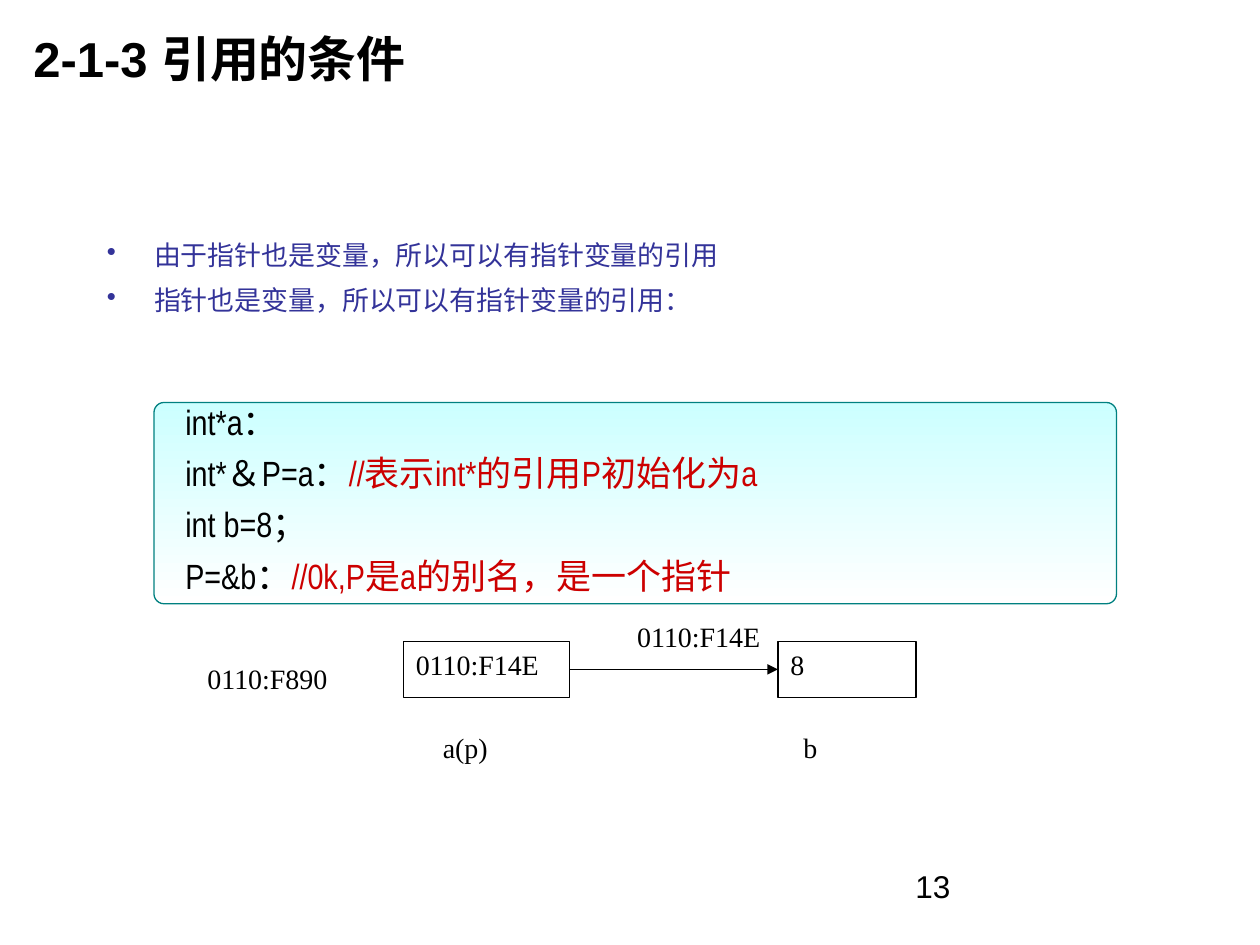
from pptx import Presentation
from pptx.dml.color import RGBColor
from pptx.enum.shapes import MSO_CONNECTOR as Connector, MSO_SHAPE as Shape
from pptx.enum.text import MSO_ANCHOR as Anchor, PP_ALIGN as Align
from pptx.oxml.ns import qn
from pptx.util import Pt
from lxml.etree import SubElement

BLACK, WHITE, BLUE, RED, TEAL, AQUA = (
    "000000", "FFFFFF", "333399", "CC0000", "008080", "CCFFFF")
TITLE = {"name": "Arial", "size": Pt(28), "bold": True}
BODY = {"name": "Arial", "size": Pt(15.4)}
CODE = {"name": "Arial Narrow", "size": Pt(20)}
LABEL = {"name": "Times New Roman", "size": Pt(16)}
NUMBER = {"name": "Arial", "size": Pt(18)}


def color(value):
    return RGBColor.from_string(value)


def add_span(para, text, style, ink=BLACK):
    span = para.add_run()
    span.text = text
    for key, value in style.items():
        setattr(span.font, key, value)
    span.font.color.rgb = color(ink)


def fill_frame(frame, lines, style, anchor=Anchor.TOP, **para_format):
    """Write lines, each a list of (text, ink) pairs, into a text frame."""
    frame.word_wrap = True
    frame.vertical_anchor = anchor
    space = para_format.pop("space_before", Pt(0))
    for index, spans in enumerate(lines):
        para = frame.add_paragraph() if index else frame.paragraphs[0]
        para.alignment = Align.LEFT
        para.space_before = space if index else Pt(0)
        for key, value in para_format.items():
            setattr(para, key, value)
        for text, ink in spans:
            add_span(para, text, style, ink)


def add_text(page, area, lines, style, **options):
    box = page.shapes.add_textbox(*map(Pt, area))
    fill_frame(box.text_frame, lines, style, **options)
    return box


def set_line(line, ink):
    line.color.rgb = color(ink)
    line.width = Pt(0.75)


def add_bullets(page, area, texts):
    lines = [[(text, BLUE)] for text in texts]
    box = add_text(page, area, lines, BODY, space_before=Pt(7))
    for para in box.text_frame.paragraphs:
        properties = para._p.get_or_add_pPr()
        properties.set("marL", str(Pt(27)))
        properties.set("indent", str(-Pt(27)))
        bullet_color = SubElement(properties, qn("a:buClr"))
        SubElement(bullet_color, qn("a:srgbClr"), val=BLUE)
        SubElement(properties, qn("a:buChar"), char="•")


def add_code(page, area, lines):
    panel = page.shapes.add_shape(Shape.ROUNDED_RECTANGLE, *map(Pt, area))
    panel.adjustments[0] = 0.05
    panel.shadow.inherit = False
    panel.fill.gradient()
    panel.fill.gradient_angle = 270
    for stop, (place, ink) in zip(panel.fill.gradient_stops,
                                  [(0, AQUA), (1, WHITE)]):
        stop.position = place
        stop.color.rgb = color(ink)
    set_line(panel.line, TEAL)
    fill_frame(panel.text_frame, lines, CODE,
               space_before=Pt(12.5), line_spacing=0.7)


def add_cell(group, area, text, framed):
    cell = group.shapes.add_shape(Shape.RECTANGLE, *map(Pt, area))
    cell.shadow.inherit = False
    cell.fill.solid()
    cell.fill.fore_color.rgb = color(WHITE)
    if framed:
        set_line(cell.line, BLACK)
    else:
        cell.line.fill.background()
    fill_frame(cell.text_frame, [[(text, BLACK)]], LABEL,
               alignment=Align.JUSTIFY)


def add_arrow(group, start, end):
    arrow = group.shapes.add_connector(
        Connector.STRAIGHT, *map(Pt, (*start, *end)))
    set_line(arrow.line, BLACK)
    SubElement(arrow.line._get_or_add_ln(), qn("a:tailEnd"), type="triangle")
    SubElement(arrow._element.spPr, qn("a:effectLst"))


def add_memory(page, left, top):
    """Draw the pointer cell, the value cell and the arrow between them."""
    group = page.shapes.add_group_shape()
    cells = [  # x, y, width, height, text, framed
        (119, 16, 95, 32, "0110:F14E", True),
        (0, 24, 103, 32, "0110:F890", False),
        (134.5, 63.5, 55.5, 32, "a(p)", False),
        (333, 16, 79, 32, "8", True),
        (340.5, 63.5, 55.5, 24, "b", False),
        (245.5, 0, 87, 24, "0110:F14E", False),
    ]
    for x, y, width, height, text, framed in cells:
        add_cell(group, (left + x, top + y, width, height), text, framed)
    middle = top + 32
    add_arrow(group, (left + 214, middle), (left + 333, middle))


def main():
    deck = Presentation()
    deck.slide_width, deck.slide_height = Pt(720), Pt(540)
    page = deck.slides.add_slide(deck.slide_layouts[6])

    # Title
    add_text(page, (12, 0, 540, 66), [[("2-1-3 引用的条件", BLACK)]], TITLE,
             anchor=Anchor.MIDDLE)
    # Bullets
    add_bullets(page, (54, 133, 612, 60), [
        "由于指针也是变量，所以可以有指针变量的引用",
        "指针也是变量，所以可以有指针变量的引用：",
    ])
    # Code panel
    add_code(page, (88, 230, 550, 115), [
        [("  int*a：", BLACK)],
        [("  int*＆P=a：", BLACK), ("//表示int*的引用P初始化为a", RED)],
        [("  int b=8；", BLACK)],
        [("  P=&b：", BLACK), ("//0k,P是a的别名，是一个指针", RED)],
    ])
    # Memory diagram
    add_memory(page, 111.5, 350.5)
    # Page number
    add_text(page, (516, 492, 168, 37), [[("13", BLACK)]], NUMBER)

    deck.save("out.pptx")


if __name__ == "__main__":
    main()
